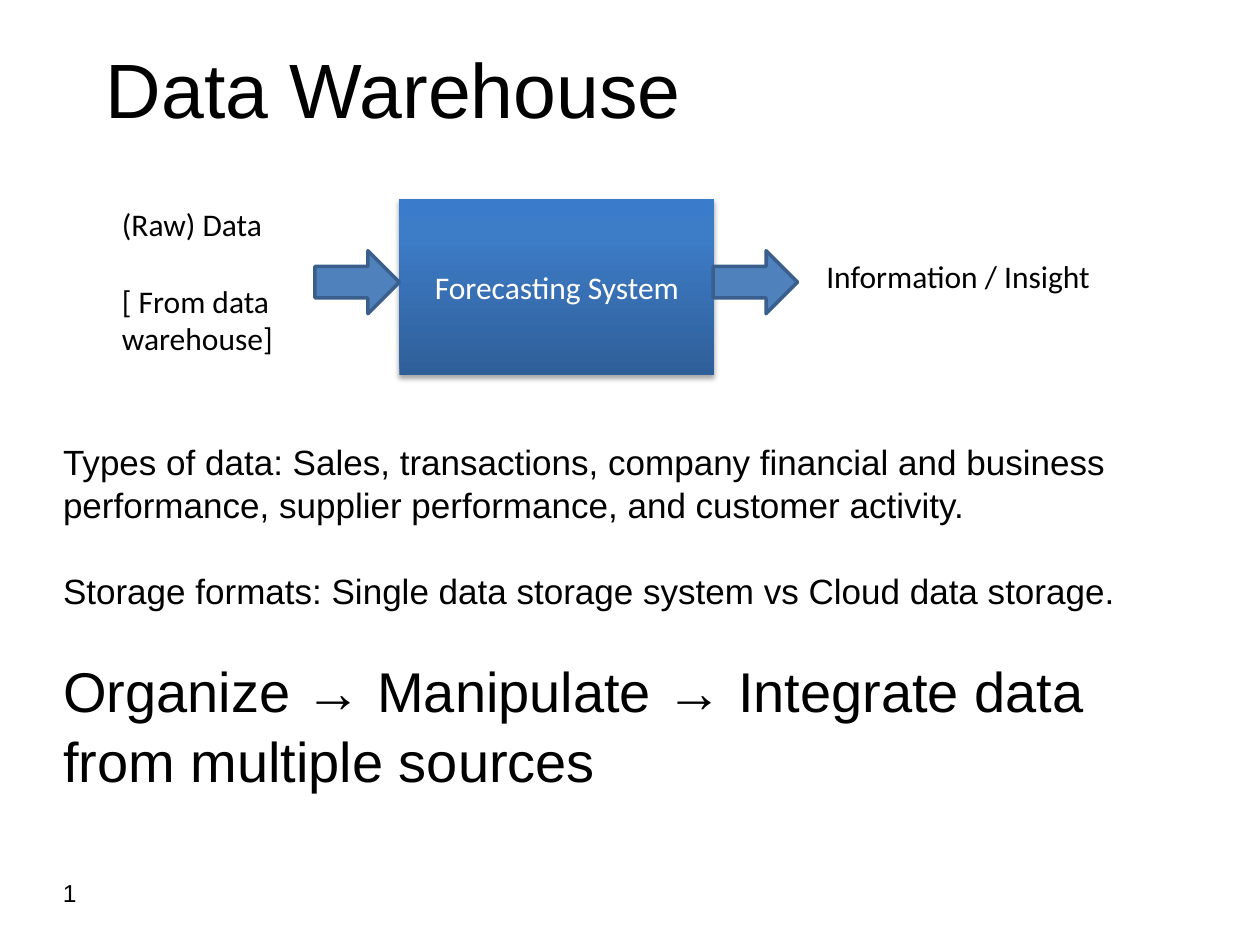
from pptx import Presentation
from pptx.dml.color import RGBColor
from pptx.enum.shapes import MSO_SHAPE
from pptx.enum.text import MSO_ANCHOR, PP_ALIGN
from pptx.oxml import parse_xml
from pptx.oxml.ns import nsdecls, qn
from pptx.util import Inches, Pt

BLACK = RGBColor(0x00, 0x00, 0x00)
WHITE = RGBColor(0xFF, 0xFF, 0xFF)
BLUE = RGBColor(0x4F, 0x81, 0xBD)
EDGE = RGBColor(0x3A, 0x5F, 0x8C)
STOPS = [(0, "2F5F99"), (80, "3D7CC7"), (100, "3A7CCB")]


def place(shape, box):
    shape.left, shape.top, shape.width, shape.height = map(Inches, box)


def write(frame, lines, font, color=BLACK, align=PP_ALIGN.LEFT):
    """Fill the frame with (text, size, space before) lines, all in points."""
    frame.text = "\n".join(text for text, _, _ in lines)
    for para, (_, size, gap) in zip(frame.paragraphs, lines):
        para.alignment = align
        para.space_before = Pt(gap)
        for run in para.runs:
            run.font.name = font
            run.font.size = Pt(size)
            run.font.color.rgb = color


def trim(frame, top=0):
    """Drop the margins, leaving only the given one above."""
    frame.margin_left = frame.margin_right = frame.margin_bottom = 0
    frame.margin_top = Inches(top)
    frame.vertical_anchor = MSO_ANCHOR.TOP
    frame.word_wrap = True


def add_title(slide, box):
    title = slide.shapes.title
    place(title, box)
    trim(title.text_frame)
    write(title.text_frame, [("Data Warehouse", 44, 0)], "Arial")


def add_body(slide, box):
    body = slide.placeholders[1]
    place(body, box)
    frame = body.text_frame
    trim(frame, top=0.33)
    write(frame, [
        ("Types of data: Sales, transactions, company financial and business "
         "performance, supplier performance, and customer activity.", 20, 0),
        ("Storage formats: Single data storage system vs Cloud data storage.", 20, 24),
        ("Organize → Manipulate → Integrate data from multiple sources", 32, 24),
    ], "Arial")
    for para in frame.paragraphs:
        para.line_spacing = 1.04
        props = para._p.get_or_add_pPr()
        props.set("marL", "0")
        props.set("indent", "0")
        props.append(parse_xml(f"<a:buNone {nsdecls('a')}/>"))


def add_text(slide, box, lines, font, wrap=True):
    text = slide.shapes.add_textbox(*map(Inches, box))
    text.text_frame.word_wrap = wrap
    write(text.text_frame, lines, font)
    return text.text_frame


def add_system(slide, box):
    rect = slide.shapes.add_shape(MSO_SHAPE.RECTANGLE, *map(Inches, box))
    rect.line.fill.background()
    rect.shadow.inherit = False
    props = rect._element.spPr
    stops = "".join(f'<a:gs pos="{pos * 1000}"><a:srgbClr val="{color}"/></a:gs>'
                    for pos, color in STOPS)
    props.find(qn("a:prstGeom")).addnext(parse_xml(
        f"<a:gradFill {nsdecls('a')}><a:gsLst>{stops}</a:gsLst>"
        '<a:lin ang="16200000" scaled="0"/></a:gradFill>'))
    props.find(qn("a:effectLst")).append(parse_xml(
        f'<a:outerShdw {nsdecls("a")} blurRad="{Pt(3.1)}" dist="{Pt(1.8)}" '
        'dir="5400000" rotWithShape="0"><a:srgbClr val="000000">'
        '<a:alpha val="35000"/></a:srgbClr></a:outerShdw>'))
    rect.text_frame.vertical_anchor = MSO_ANCHOR.MIDDLE
    write(rect.text_frame, [("Forecasting System", 18, 0)], "Calibri",
          WHITE, PP_ALIGN.CENTER)


def add_arrow(slide, box):
    arrow = slide.shapes.add_shape(MSO_SHAPE.RIGHT_ARROW, *map(Inches, box))
    arrow.shadow.inherit = False
    arrow.fill.solid()
    arrow.fill.fore_color.rgb = BLUE
    arrow.line.color.rgb = EDGE
    arrow.line.width = Pt(2)


def add_flow(slide, left, top):
    """Raw data, arrow, system, arrow, insight, in one row."""
    add_system(slide, (left + 2.3, top, 2.5, 1.4))
    for step in (1.63, 4.79):
        add_arrow(slide, (left + step, top + 0.41, 0.67, 0.5))
    add_text(slide, (left, top, 1.5, 1.31),
             [("(Raw) Data", 18, 0), ("[ From data warehouse]", 18, 22)], "Calibri")
    add_text(slide, (left + 5.59, top + 0.41, 2.32, 0.4),
             [("Information / Insight", 18, 0)], "Calibri", wrap=False)


def main():
    deck = Presentation()
    deck.slide_width, deck.slide_height = Inches(10), Inches(7.5)
    slide = deck.slides.add_slide(deck.slide_layouts[1])
    add_title(slide, (0.84, 0.33, 8.26, 0.76))
    add_body(slide, (0.5, 3.15, 9, 3.1))
    trim(add_text(slide, (0.5, 6.97, 2.3, 0.38), [("1", 14, 0)], "Arial"))
    add_flow(slide, 0.87, 1.58)
    deck.save("out.pptx")


if __name__ == "__main__":
    main()
